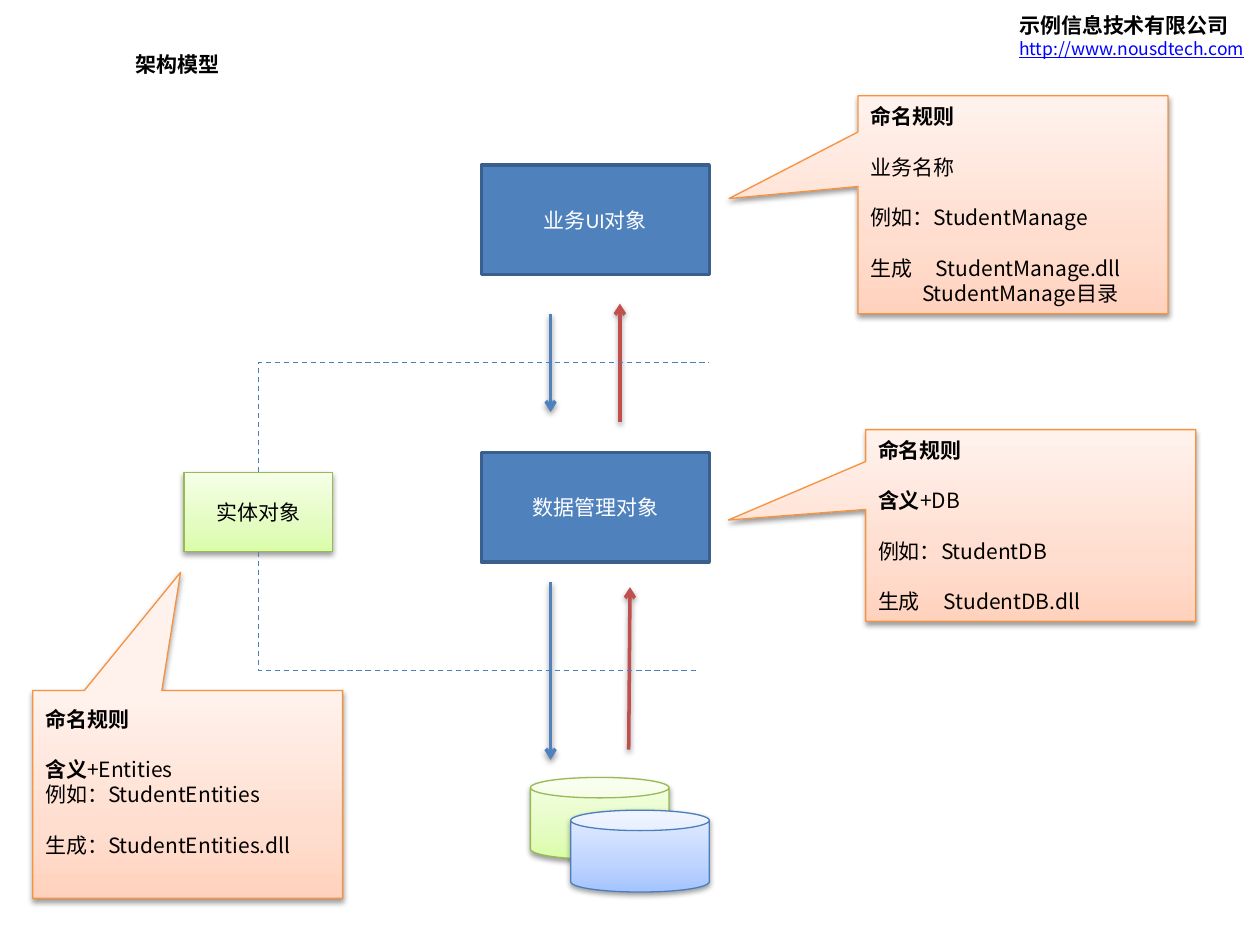
from copy import deepcopy
from dataclasses import dataclass

from lxml import etree
from pptx import Presentation
from pptx.dml.color import RGBColor
from pptx.enum.dml import MSO_LINE
from pptx.enum.shapes import MSO_CONNECTOR, MSO_SHAPE
from pptx.enum.text import MSO_ANCHOR, MSO_AUTO_SIZE, PP_ALIGN
from pptx.oxml.ns import qn
from pptx.util import Pt

PX = 9144  # 100 px to the inch
RECTANGLE, CAN = MSO_SHAPE.RECTANGLE, MSO_SHAPE.CAN
CALLOUT = MSO_SHAPE.RECTANGULAR_CALLOUT
STRAIGHT, DASH = MSO_CONNECTOR.STRAIGHT, MSO_LINE.DASH
CENTER, MIDDLE = PP_ALIGN.CENTER, MSO_ANCHOR.MIDDLE
FIT_SHAPE = MSO_AUTO_SIZE.SHAPE_TO_FIT_TEXT
LATIN, CHINESE = "Calibri", "Noto Sans CJK SC"
BLANK_LINE = 14.4

COLORS = {
    "black": "000000", "white": "FFFFFF", "link": "0000FF",
    "blue": "4F81BD", "red": "C0504D", "blue edge": "3A5F8C",
    "green line": "98B955", "blue line": "4B7EBC", "orange line": "F69240",
}
GRADIENTS = {
    "green": ("DAFDA7", "E4FCC2", "F5FFE7"),
    "blue": ("A4C4FF", "BFD4FF", "E6EEFF"),
    "orange": ("FFD2BD", "FFDED0", "FFF2ED"),
}


@dataclass(frozen=True)
class Box:
    left: int
    top: int
    width: int
    height: int

    def emu(self) -> list[int]:
        return [value * PX for value in (self.left, self.top, self.width, self.height)]


@dataclass(frozen=True)
class Line:
    text: str
    lead: str = ""  # bold words before the text
    gap: bool = True
    indent: int = 0


@dataclass(frozen=True)
class Callout:
    box: Box
    pointer: tuple[float, float]
    lines: tuple[Line, ...]
    bottom_inset: int = 5


@dataclass(frozen=True)
class Arrow:
    start: tuple[int, int]
    end: tuple[int, int]
    color: str


def rgb(name: str) -> RGBColor:
    return RGBColor.from_string(COLORS[name])


def add_run(paragraph, text: str, *, size=12, color="black", bold=False,
            underline=False, font=CHINESE) -> None:
    run = paragraph.add_run()
    run.text = text
    run.font.size = Pt(size)
    run.font.bold = bold
    run.font.underline = underline
    run.font.color.rgb = rgb(color)
    run.font.name = font
    properties = run.font._element
    etree.SubElement(properties, qn("a:ea"), typeface=CHINESE)


def cast_shadow(shape) -> None:
    effects = etree.SubElement(shape.element.spPr, qn("a:effectLst"))
    shadow = etree.SubElement(effects, qn("a:outerShdw"), blurRad="40000",
                              dist="20000", dir="5400000", rotWithShape="0")
    color = etree.SubElement(shadow, qn("a:srgbClr"), val=COLORS["black"])
    etree.SubElement(color, qn("a:alpha"), val="38000")


def add_tinted_shape(slide, kind, box: Box, tint: str):
    """Add a shape with a vertical gradient, a thin line and a soft shadow."""
    shape = slide.shapes.add_shape(kind, *box.emu())
    shape.fill.gradient()
    shape.fill.gradient_angle = 90
    stop_list = next(shape.element.spPr.iter(qn("a:gsLst")))
    stop_list.append(deepcopy(stop_list[0]))
    for stop, position, color in zip(shape.fill.gradient_stops, (0, 0.35, 1), GRADIENTS[tint]):
        stop.position = position
        stop.color.rgb = RGBColor.from_string(color)
    shape.line.color.rgb = rgb(f"{tint} line")
    shape.line.width = Pt(0.75)
    cast_shadow(shape)
    return shape


def add_label(shape, text: str, color: str) -> None:
    shape.text_frame.vertical_anchor = MIDDLE
    paragraph = shape.text_frame.paragraphs[0]
    paragraph.alignment = CENTER
    add_run(paragraph, text, color=color, font=LATIN)


def add_layer(slide, box: Box, text: str) -> None:
    shape = slide.shapes.add_shape(RECTANGLE, *box.emu())
    shape.shadow.inherit = False
    shape.fill.solid()
    shape.fill.fore_color.rgb = rgb("blue")
    shape.line.color.rgb = rgb("blue edge")
    shape.line.width = Pt(2)
    add_label(shape, text, "white")


def add_callout(slide, callout: Callout) -> None:
    shape = add_tinted_shape(slide, CALLOUT, callout.box, "orange")
    shape.adjustments[0], shape.adjustments[1] = callout.pointer
    frame = shape.text_frame
    frame.word_wrap = True
    frame.vertical_anchor = MIDDLE
    frame.margin_bottom = callout.bottom_inset * PX
    paragraph = frame.paragraphs[0]
    paragraph.alignment = PP_ALIGN.LEFT
    add_run(paragraph, "命名规则", bold=True)
    for line in callout.lines:
        paragraph = frame.add_paragraph()
        properties = paragraph._p.get_or_add_pPr()
        properties.set("marL", str(line.indent * PX))
        if "\t" in line.text:
            tabs = etree.SubElement(properties, qn("a:tabLst"))
            etree.SubElement(tabs, qn("a:tab"), pos=str(52 * PX), algn="l")
        paragraph.alignment = PP_ALIGN.LEFT
        if line.gap:
            paragraph.space_before = Pt(BLANK_LINE)
        if line.lead:
            add_run(paragraph, line.lead, bold=True)
        add_run(paragraph, line.text)


def add_arrow(slide, arrow: Arrow) -> None:
    points = [value * PX for value in arrow.start + arrow.end]
    connector = slide.shapes.add_connector(STRAIGHT, *points)
    connector.line.color.rgb = rgb(arrow.color)
    connector.line.width = Pt(2)
    etree.SubElement(connector.line._get_or_add_ln(), qn("a:tailEnd"), type="arrow")
    cast_shadow(connector)


def add_bent_link(slide, start: tuple[int, int], end: tuple[int, int]) -> None:
    """Add a dashed link that runs vertically from start, then right to end."""
    across, down = end[0] - start[0], end[1] - start[1]
    width, height = abs(down) * PX, across * PX
    left = (start[0] + end[0]) * PX // 2 - width // 2
    top = (start[1] + end[1]) * PX // 2 - height // 2
    connector = slide.shapes.add_connector(STRAIGHT, left, top, left + width, top + height)
    properties = connector.element.spPr
    properties.find(qn("a:prstGeom")).set("prst", "bentConnector2")
    transform = properties.find(qn("a:xfrm"))
    transform.set("rot", "16200000" if down > 0 else "5400000")
    transform.set("flipH", "1")
    if down < 0:
        transform.set("flipV", "1")
    connector.line.color.rgb = rgb("blue line")
    connector.line.width = Pt(0.75)
    connector.line.dash_style = DASH
    etree.SubElement(properties, qn("a:effectLst"))


def add_text_box(slide, box: Box, text: str):
    frame = slide.shapes.add_textbox(*box.emu()).text_frame
    frame.word_wrap = False
    frame.auto_size = FIT_SHAPE
    add_run(frame.paragraphs[0], text, bold=True)
    return frame


ARROWS = (
    Arrow((437, 462), (437, 603), "blue"),
    Arrow((499, 595), (500, 466), "red"),
    Arrow((492, 335), (492, 241), "red"),
    Arrow((437, 249), (437, 327), "blue"),
)
CALLOUTS = (
    Callout(Box(26, 548, 246, 165), (-0.023, -1.068), (
        Line("+Entities", lead="含义"), Line("例如：StudentEntities", gap=False),
        Line("生成：StudentEntities.dll")), bottom_inset=25),
    Callout(Box(687, 341, 262, 152), (-0.916, -0.028), (
        Line("+DB", lead="含义"), Line("例如：StudentDB"), Line("生成\tStudentDB.dll"))),
    Callout(Box(681, 76, 246, 173), (-0.916, -0.028), (
        Line("业务名称"), Line("例如：StudentManage"), Line("生成\tStudentManage.dll"),
        Line("StudentManage目录", gap=False, indent=41))),
)


def main() -> None:
    presentation = Presentation()
    presentation.slide_width, presentation.slide_height = 1000 * PX, 750 * PX
    slide = presentation.slides.add_slide(presentation.slide_layouts[6])
    company = add_text_box(slide, Box(799, 5, 203, 47), "示例信息技术有限公司")
    add_run(company.add_paragraph(), "http://www.nousdtech.com",
            size=10, color="link", underline=True)
    entity = add_tinted_shape(slide, RECTANGLE, Box(146, 375, 118, 63), "green")
    add_label(entity, "实体对象", "black")
    add_layer(slide, Box(382, 359, 181, 87), "数据管理对象")
    add_layer(slide, Box(382, 131, 181, 87), "业务UI对象")
    add_tinted_shape(slide, CAN, Box(421, 617, 110, 65), "green")
    add_tinted_shape(slide, CAN, Box(453, 643, 110, 65), "blue")
    for arrow in ARROWS:
        add_arrow(slide, arrow)
    add_bent_link(slide, (205, 375), (563, 288))
    add_bent_link(slide, (205, 438), (555, 532))
    for callout in CALLOUTS:
        add_callout(slide, callout)
    add_text_box(slide, Box(98, 36, 88, 30), "架构模型")
    presentation.save("out.pptx")


if __name__ == "__main__":
    main()
